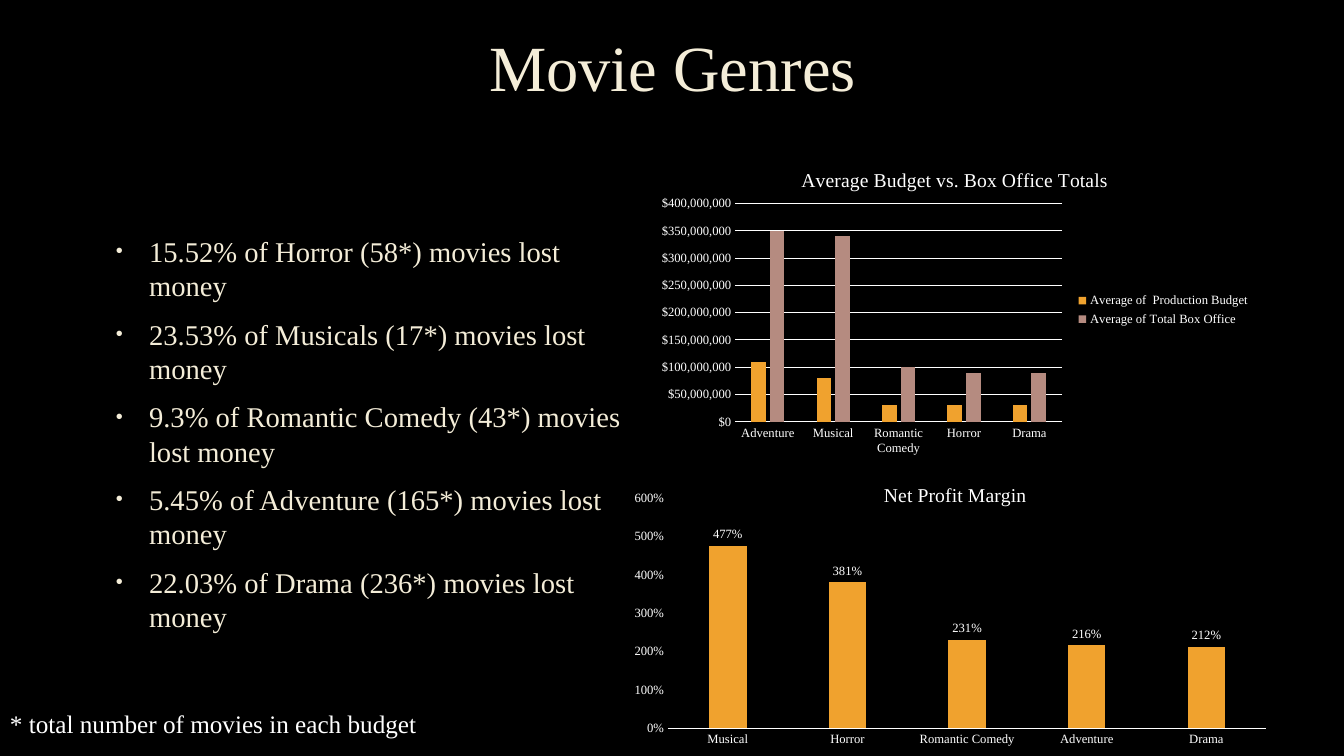
from dataclasses import dataclass

from lxml.etree import SubElement
from pptx import Presentation
from pptx.chart.data import CategoryChartData
from pptx.dml.color import RGBColor as Rgb
from pptx.enum.chart import XL_CHART_TYPE as ChartType
from pptx.enum.chart import XL_LABEL_POSITION as LabelPosition
from pptx.enum.chart import XL_LEGEND_POSITION as LegendPosition
from pptx.enum.chart import XL_TICK_MARK as TickMark
from pptx.enum.text import MSO_ANCHOR as Anchor
from pptx.enum.text import PP_ALIGN as Align
from pptx.oxml.ns import qn
from pptx.util import Inches, Pt


@dataclass(frozen=True)
class Theme:
    face: str = "Times New Roman"
    backdrop: Rgb = Rgb(0, 0, 0)
    cream: Rgb = Rgb(0xF4, 0xED, 0xD8)
    white: Rgb = Rgb(0xFF, 0xFF, 0xFF)
    amber: Rgb = Rgb(0xF0, 0xA2, 0x2E)
    rose: Rgb = Rgb(0xB5, 0x8B, 0x80)
    heading: float = 46
    body: float = 20.4
    footnote: float = 18
    chart_title: float = 14
    label: float = 9
    hairline: float = 0.75


THEME = Theme()
WIDTH, HEIGHT = 13.33, 7.5
MILLION = 1_000_000

LOSSES = [
    "15.52% of Horror (58*) movies lost money",
    "23.53% of Musicals (17*) movies lost money",
    "9.3% of Romantic Comedy (43*) movies lost money",
    "5.45% of Adventure (165*) movies lost money",
    "22.03% of Drama (236*) movies lost money",
]
BUDGET_GENRES = ["Adventure", "Musical", "Romantic Comedy", "Horror", "Drama"]
BUDGET_SERIES = {
    "Average of  Production Budget ": [m * MILLION for m in (110, 80, 30, 30, 30)],
    "Average of Total Box Office": [m * MILLION for m in (350, 340, 100, 90, 90)],
}
MARGIN_GENRES = ["Musical", "Horror", "Romantic Comedy", "Adventure", "Drama"]
MARGIN_SERIES = {"Series 1": [4.77, 3.81, 2.31, 2.16, 2.12]}


def share(left, top, width, height):
    return [Inches(round(part * side, 2)) for part, side in
            zip((left, top, width, height), (WIDTH, HEIGHT) * 2)]


def style(font, size, color):
    font.name = THEME.face
    font.size = Pt(size)
    font.bold = False
    font.color.rgb = color


def write(paragraph, words, size, color):
    run = paragraph.add_run()
    run.text = words
    style(run.font, size, color)


def add_heading(slide, box, words):
    heading = slide.shapes.title
    heading.left, heading.top, heading.width, heading.height = box
    heading.text_frame.vertical_anchor = Anchor.MIDDLE
    line = heading.text_frame.paragraphs[0]
    line.alignment = Align.CENTER
    line.line_spacing = 0.9
    write(line, words, THEME.heading, THEME.cream)


def add_bullet(paragraph):
    props = paragraph._p.get_or_add_pPr()
    props.set("marL", str(Inches(0.38)))
    props.set("indent", str(Inches(-0.33)))
    tint = SubElement(props, qn("a:buClr"))
    SubElement(tint, qn("a:srgbClr"), val=str(THEME.cream))
    SubElement(props, qn("a:buSzPct"), val="70000")
    SubElement(props, qn("a:buFont"), typeface="Arial")
    SubElement(props, qn("a:buChar"), char="•")


def add_losses(slide, box, losses):
    frame = slide.shapes.add_textbox(*box).text_frame
    frame.word_wrap = True
    for index, loss in enumerate(losses):
        line = frame.add_paragraph() if index else frame.paragraphs[0]
        line.space_before = Pt(0.2 * THEME.body)
        line.space_after = Pt(6)
        add_bullet(line)
        write(line, loss, THEME.body, THEME.cream)


def add_footnote(slide, box, words):
    frame = slide.shapes.add_textbox(*box).text_frame
    frame.word_wrap = True
    write(frame.paragraphs[0], words, THEME.footnote, THEME.white)


def place_plot(chart, plot_box):
    area = chart._chartSpace.chart.plotArea
    for stale in area.findall(qn("c:layout")):
        area.remove(stale)
    layout = SubElement(area, qn("c:layout"))
    area.insert(0, layout)
    manual = SubElement(layout, qn("c:manualLayout"))
    settings = {"layoutTarget": "inner", "xMode": "edge", "yMode": "edge"}
    settings.update(zip("xywh", plot_box))
    for tag, value in settings.items():
        SubElement(manual, qn(f"c:{tag}"), val=str(value))


def style_axes(chart, top, step, number_format, grid):
    for axis in (chart.category_axis, chart.value_axis):
        axis.major_tick_mark = axis.minor_tick_mark = TickMark.NONE
        style(axis.tick_labels.font, THEME.label, THEME.white)
    genres, amounts = chart.category_axis, chart.value_axis
    genres.format.line.color.rgb = THEME.white
    genres.format.line.width = Pt(THEME.hairline)
    amounts.format.line.fill.background()
    amounts.minimum_scale, amounts.maximum_scale = 0, top
    amounts.major_unit = step
    amounts.tick_labels.number_format = number_format
    amounts.tick_labels.number_format_is_linked = False
    amounts.has_major_gridlines = grid
    if grid:
        amounts.major_gridlines.format.line.color.rgb = THEME.white
        amounts.major_gridlines.format.line.width = Pt(THEME.hairline)


def add_columns(slide, box, title, genres, series, plot_box, scale, grid):
    figures = CategoryChartData()
    figures.categories = genres
    for name, amounts in series.items():
        figures.add_series(name, amounts)
    chart = slide.shapes.add_chart(ChartType.COLUMN_CLUSTERED, *box, figures).chart
    style(chart.font, THEME.label, THEME.white)
    chart.has_title = True
    write(chart.chart_title.text_frame.paragraphs[0], title,
          THEME.chart_title, THEME.white)
    chart.chart_title.include_in_layout = False
    chart.has_legend = False
    columns = chart.plots[0]
    columns.gap_width, columns.overlap = 219, -27
    columns.vary_by_categories = False
    for bars, color in zip(columns.series, (THEME.amber, THEME.rose)):
        bars.format.fill.solid()
        bars.format.fill.fore_color.rgb = color
    style_axes(chart, *scale, grid)
    place_plot(chart, plot_box)
    return chart


def add_budget_chart(slide, box):
    chart = add_columns(slide, box, "Average Budget vs. Box Office Totals",
                        BUDGET_GENRES, BUDGET_SERIES, (0.144, 0.163, 0.53, 0.692),
                        (400 * MILLION, 50 * MILLION, '"$"#,##0'), True)
    chart.has_legend = True
    chart.legend.position = LegendPosition.RIGHT
    chart.legend.include_in_layout = False
    style(chart.legend.font, THEME.label, THEME.white)


def add_margin_chart(slide, box):
    chart = add_columns(slide, box, "Net Profit Margin",
                        MARGIN_GENRES, MARGIN_SERIES, (0.074, 0.107, 0.887, 0.797),
                        (6, 1, "0%"), False)
    labels = chart.plots[0].series[0].data_labels
    labels.show_value = True
    labels.position = LabelPosition.OUTSIDE_END
    labels.number_format = "0%"
    labels.number_format_is_linked = False
    style(labels.font, THEME.label, THEME.white)


def main():
    deck = Presentation()
    deck.slide_width, deck.slide_height = Inches(WIDTH), Inches(HEIGHT)
    slide = deck.slides.add_slide(deck.slide_layouts[5])
    slide.background.fill.solid()
    slide.background.fill.fore_color.rgb = THEME.backdrop
    add_heading(slide, share(0.076, 0.001, 0.849, 0.184), "Movie Genres")
    add_losses(slide, share(0.075, 0.303, 0.398, 0.528), LOSSES)
    add_footnote(slide, share(0, 0.931, 0.353, 0.053),
                 "* total number of movies in each budget")
    add_budget_chart(slide, share(0.481, 0.201, 0.459, 0.417))
    add_margin_chart(slide, share(0.46, 0.619, 0.502, 0.381))
    deck.save("out.pptx")


if __name__ == "__main__":
    main()
